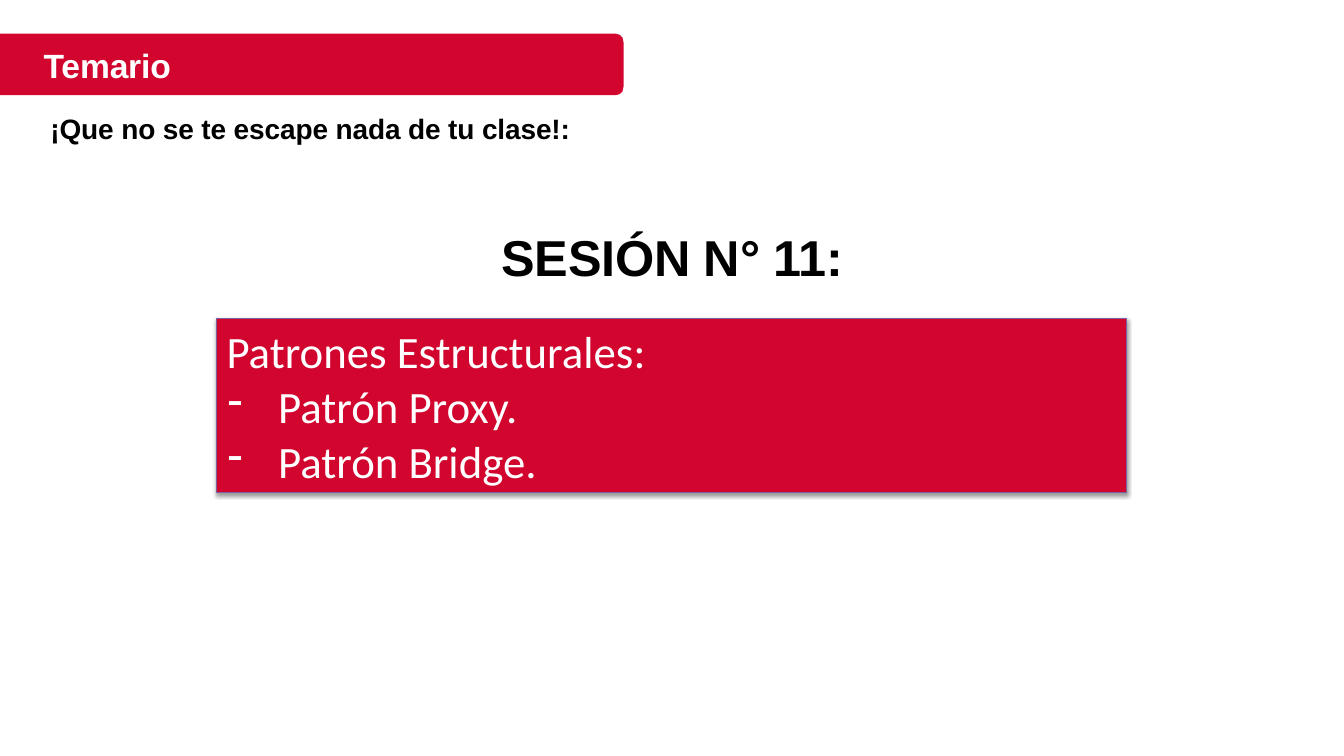
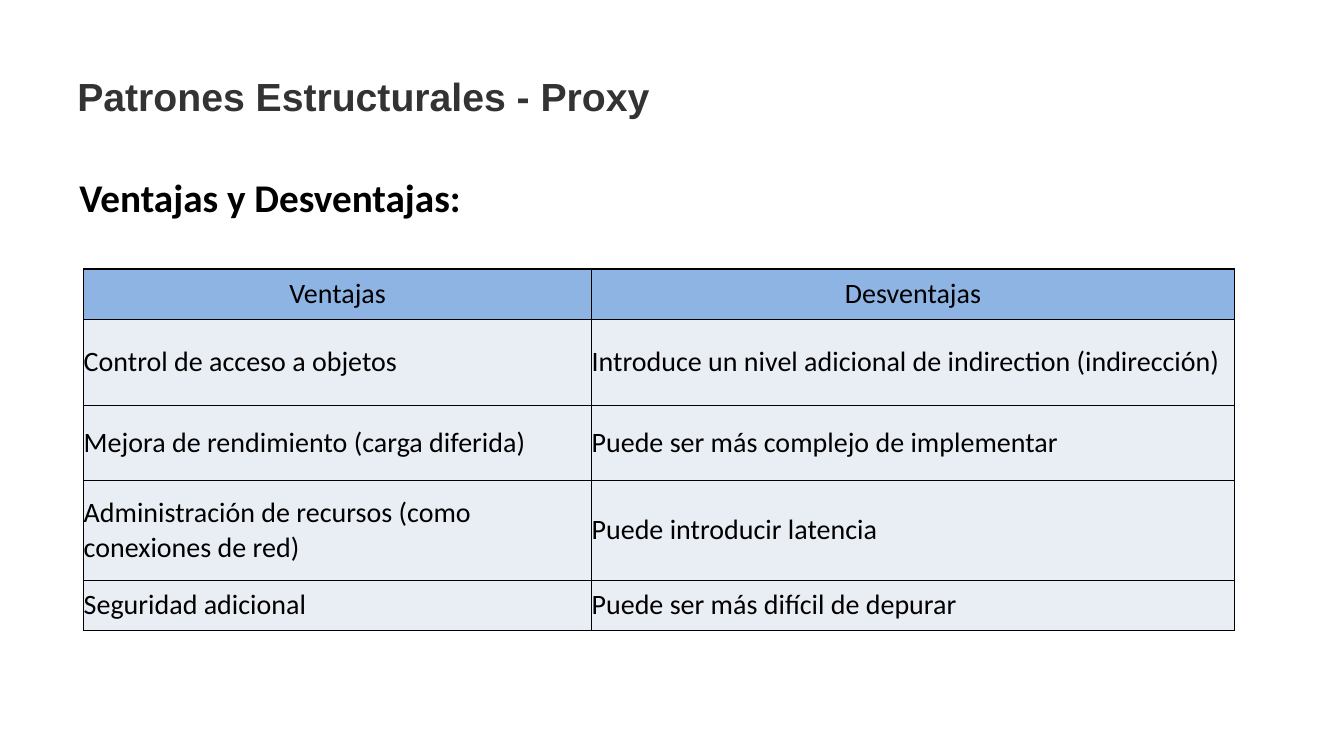
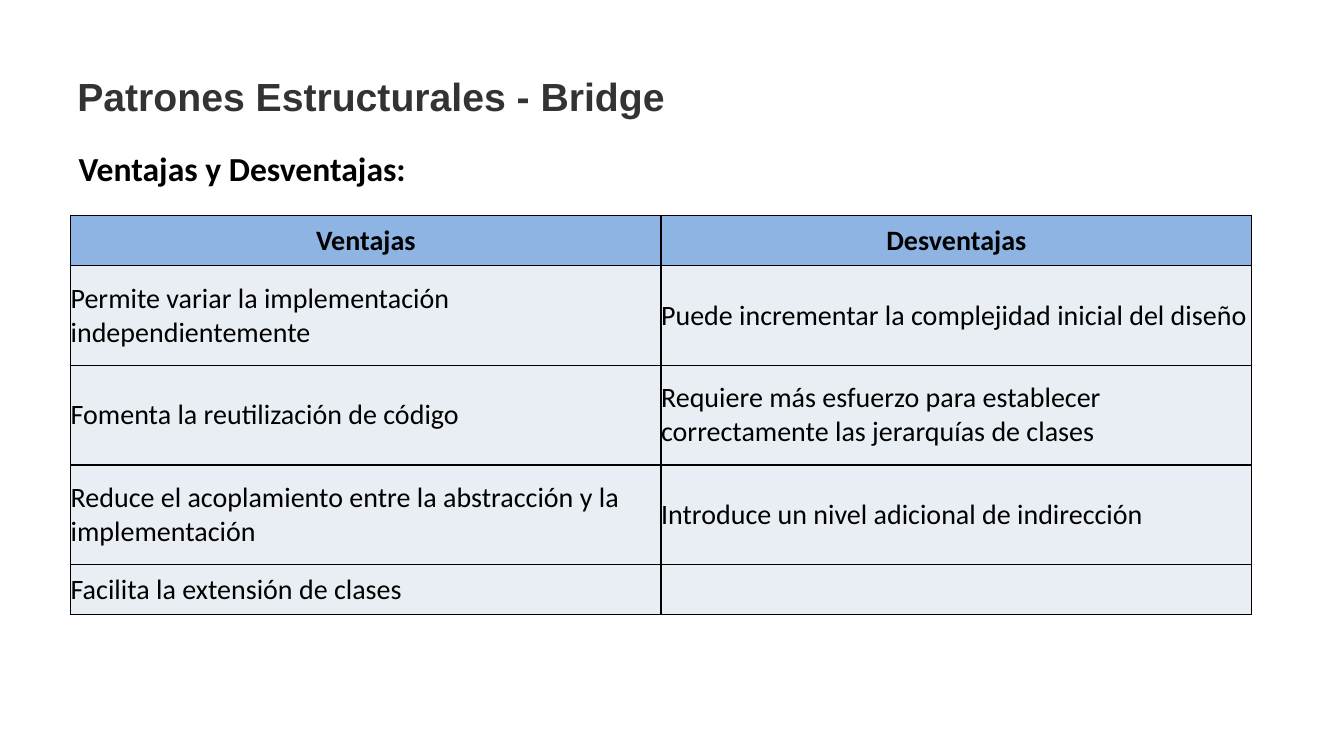
from lxml import etree
from pptx import Presentation
from pptx.dml.color import RGBColor
from pptx.enum.shapes import MSO_SHAPE
from pptx.enum.text import MSO_ANCHOR, MSO_AUTO_SIZE, PP_ALIGN
from pptx.oxml.ns import qn
from pptx.util import Cm, Pt

LEFT, CENTER = PP_ALIGN.LEFT, PP_ALIGN.CENTER
MIDDLE, TOP = MSO_ANCHOR.MIDDLE, MSO_ANCHOR.TOP
GROW = MSO_AUTO_SIZE.SHAPE_TO_FIT_TEXT
RECT = MSO_SHAPE.RECTANGLE

RED = RGBColor(0xD1, 0x05, 0x2D)
PURPLE = RGBColor(0x7D, 0x60, 0xA0)
WHITE = RGBColor(0xFF, 0xFF, 0xFF)
BLACK = RGBColor(0, 0, 0)
DARK = RGBColor(0x33, 0x33, 0x33)
HEADER_BLUE = RGBColor(0x8E, 0xB4, 0xE3)
BODY_BLUE = RGBColor(0xE9, 0xED, 0xF4)

# Content; lengths in centimetres
TOPIC = "Patrones Estructurales:"
PATTERNS = ["Patrón Proxy.", "Patrón Bridge."]
COMPARISONS = [
    {
        "title": "Patrones Estructurales - Proxy",
        "heading_at": (1.75, 4.24), "heading_size": 28, "header_bold": False,
        "table_at": (2.11, 6.78),
        "cols": [12.8, 16.2], "heights": [1.27, 2.16, 1.9, 2.51, 1.27],
        "rows": [
            ("Ventajas", "Desventajas"),
            ("Control de acceso a objetos",
             "Introduce un nivel adicional de indirection (indirección)"),
            ("Mejora de rendimiento (carga diferida)",
             "Puede ser más complejo de implementar"),
            ("Administración de recursos (como conexiones de red)",
             "Puede introducir latencia"),
            ("Seguridad adicional", "Puede ser más difícil de depurar"),
        ],
    },
    {
        "title": "Patrones Estructurales - Bridge",
        "heading_at": (1.73, 3.61), "heading_size": 24, "header_bold": True,
        "table_at": (1.78, 5.44),
        "cols": [14.88, 14.88], "heights": [1.26, 2.51, 2.51, 2.51, 1.26],
        "rows": [
            ("Ventajas", "Desventajas"),
            ("Permite variar la implementación independientemente",
             "Puede incrementar la complejidad inicial del diseño"),
            ("Fomenta la reutilización de código",
             "Requiere más esfuerzo para establecer correctamente "
             "las jerarquías de clases"),
            ("Reduce el acoplamiento entre la abstracción y la implementación",
             "Introduce un nivel adicional de indirección"),
            ("Facilita la extensión de clases", ""),
        ],
    },
]


def style(p, size, font, color, bold=False, align=LEFT, spacing=0):
    p.alignment = align
    for r in p.runs:
        r.font.size, r.font.name, r.font.bold = Pt(size), font, bold
        r.font.color.rgb = color
        if spacing:
            r._r.get_or_add_rPr().set("spc", str(round(spacing * 100)))


def add_text(s, text, x, y, w, h, size, font="Arial", color=BLACK,
             align=LEFT, spacing=0, inset=True):
    tf = s.shapes.add_textbox(Cm(x), Cm(y), Cm(w), Cm(h)).text_frame
    tf.word_wrap = True
    tf.auto_size = GROW
    if not inset:
        tf.margin_left = tf.margin_right = tf.margin_top = tf.margin_bottom = 0
    tf.text = text
    style(tf.paragraphs[0], size, font, color, True, align, spacing)


def add_shadow(shape):
    shape.shadow.inherit = False
    effects = shape._element.spPr.find(qn("a:effectLst"))
    shadow = etree.SubElement(effects, qn("a:outerShdw"), blurRad=str(Pt(3.1)),
                              dist=str(Pt(1.6)), dir="5400000", rotWithShape="0")
    color = etree.SubElement(shadow, qn("a:srgbClr"), val=str(BLACK))
    etree.SubElement(color, qn("a:alpha"), val="38000")


def add_topic_box(s):
    box = s.shapes.add_shape(RECT, Cm(5.46), Cm(8.03), Cm(22.94), Cm(4.39))
    box.fill.solid()
    box.fill.fore_color.rgb = RED
    box.line.color.rgb = PURPLE
    box.line.width = Pt(0.75)
    add_shadow(box)
    tf = box.text_frame
    tf.word_wrap = True
    tf.auto_size = GROW
    tf.vertical_anchor = TOP
    tf.text = TOPIC
    for pattern in PATTERNS:
        p = tf.add_paragraph()
        p.text = pattern
        p.space_before = Pt(1)
        pPr = p._p.get_or_add_pPr()
        pPr.set("marL", str(Cm(1.3)))
        pPr.set("indent", str(Cm(-1.27)))
        etree.SubElement(pPr, qn("a:buChar"), char="-")
    for p in tf.paragraphs:
        style(p, 32, "Calibri", WHITE)


def add_title_band(s, title):
    top, bottom, right = 0.85, 2.4, 15.72
    # Right corners: distance from the side edge, distance from the top or bottom
    corner = [(0.2, 0), (0.1, 0.03), (0.03, 0.1), (0, 0.25)]
    outline = [(right - dx, top + dy) for dx, dy in corner]
    outline += [(right - dx, bottom - dy) for dx, dy in reversed(corner)]
    outline.append((0, bottom))
    builder = s.shapes.build_freeform(0, Cm(top))
    builder.add_line_segments([(Cm(x), Cm(y)) for x, y in outline], close=True)
    band = builder.convert_to_shape()
    band.shadow.inherit = False
    band.fill.solid()
    band.fill.fore_color.rgb = RED
    band.line.fill.background()
    add_text(s, title, 1.1, 1.13, 13.13, 1.07, 24, color=WHITE,
             spacing=-0.1, inset=False)


def add_borders(cell):
    tcPr = cell._tc.get_or_add_tcPr()
    for i, side in enumerate("LRTB"):
        ln = etree.Element(qn("a:ln" + side), w=str(Pt(1)))
        fill = etree.SubElement(ln, qn("a:solidFill"))
        etree.SubElement(fill, qn("a:srgbClr"), val=str(BLACK))
        tcPr.insert(i, ln)


def add_comparison_table(s, data):
    rows, cols, heights = data["rows"], data["cols"], data["heights"]
    x, y = data["table_at"]
    table = s.shapes.add_table(len(rows), len(cols), Cm(x), Cm(y),
                               Cm(sum(cols)), Cm(sum(heights))).table
    table.horz_banding = False
    for column, width in zip(table.columns, cols):
        column.width = Cm(width)
    for i, (row, height) in enumerate(zip(rows, heights)):
        table.rows[i].height = Cm(height)
        header = i == 0
        for j, text in enumerate(row):
            cell = table.cell(i, j)
            cell.text = text
            cell.vertical_anchor = MIDDLE
            cell.margin_left = cell.margin_right = 0
            cell.margin_top = cell.margin_bottom = 0
            cell.fill.solid()
            cell.fill.fore_color.rgb = HEADER_BLUE if header else BODY_BLUE
            add_borders(cell)
            style(cell.text_frame.paragraphs[0], 20, "Calibri", BLACK,
                  header and data["header_bold"], CENTER if header else LEFT)


def main():
    prs = Presentation()
    prs.slide_width, prs.slide_height = Cm(33.87), Cm(19.05)
    blank = prs.slide_layouts[6]

    # Agenda
    s = prs.slides.add_slide(blank)
    add_topic_box(s)
    add_text(s, "SESIÓN N° 11:", 11.33, 5.57, 11.23, 1.8, 36,
             align=CENTER, spacing=-0.2)
    add_title_band(s, "Temario")
    add_text(s, "¡Que no se te escape nada de tu clase!:",
             1.02, 2.69, 14.88, 1.12, 20, spacing=-0.1)

    # Advantages and drawbacks of each pattern
    for data in COMPARISONS:
        s = prs.slides.add_slide(blank)
        add_text(s, data["title"], 1.7, 1.7, 16.92, 1.45, 28, color=DARK)
        add_text(s, "Ventajas y Desventajas:", *data["heading_at"], 14.53, 1.45,
                 data["heading_size"], "Calibri")
        add_comparison_table(s, data)

    prs.save("out.pptx")


if __name__ == "__main__":
    main()
